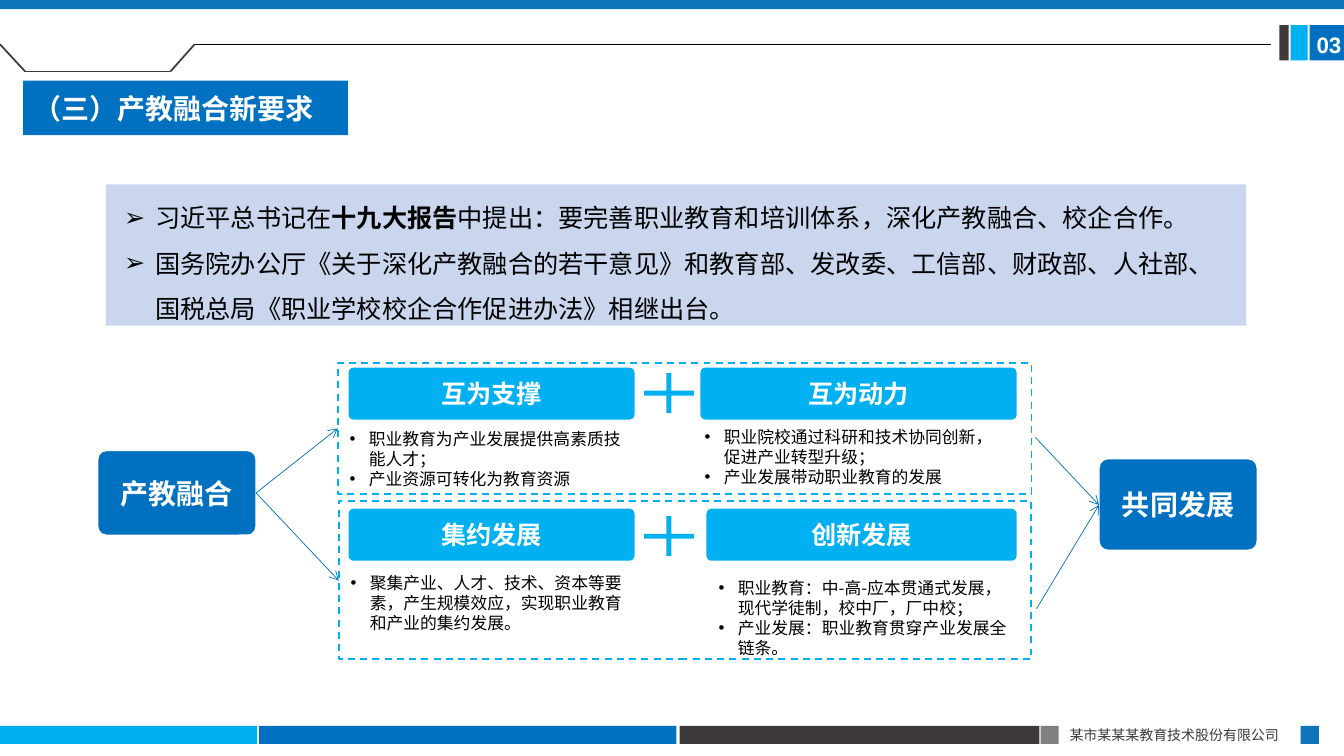
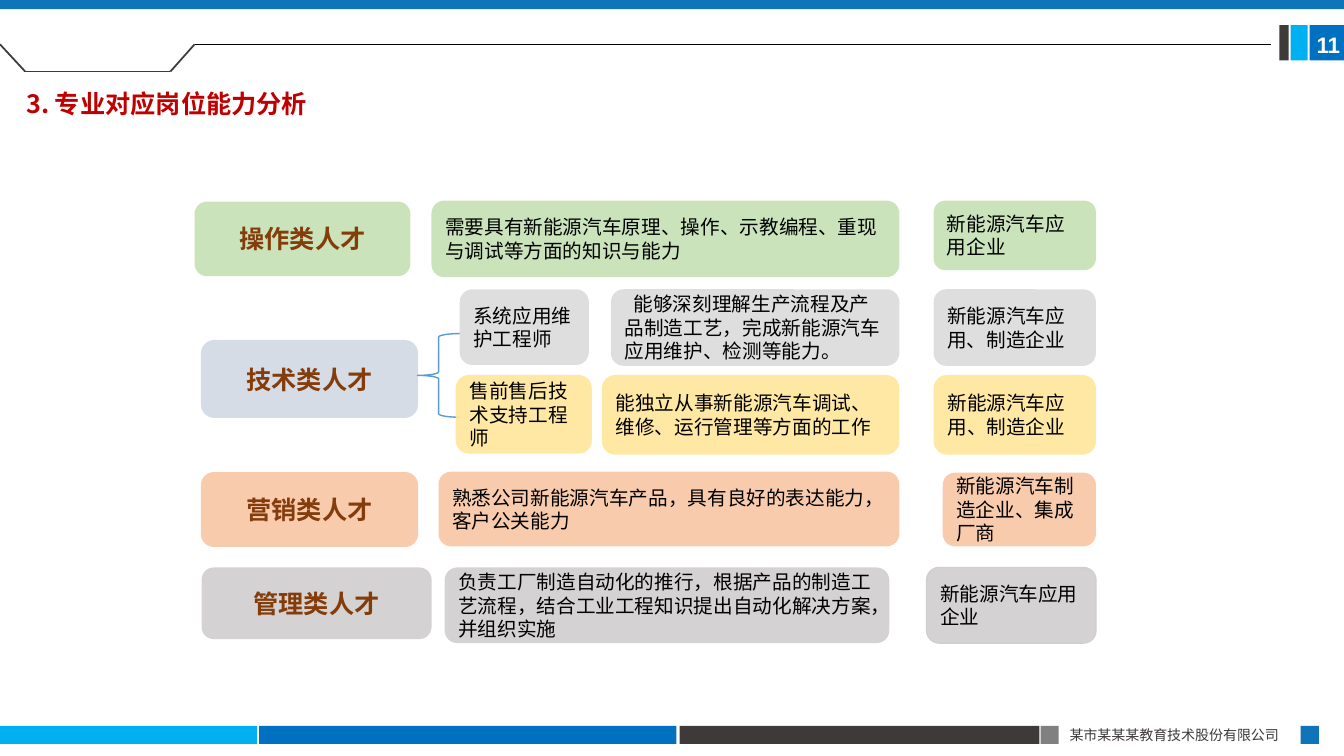
from lxml.etree import SubElement
from pptx import Presentation
from pptx.dml.color import RGBColor
from pptx.enum.dml import MSO_LINE
from pptx.enum.lang import MSO_LANGUAGE_ID as Language
from pptx.enum.shapes import MSO_CONNECTOR as Connector, MSO_SHAPE as Shape
from pptx.enum.text import MSO_ANCHOR as Anchor, MSO_AUTO_SIZE as AutoSize, PP_ALIGN as Align
from pptx.oxml.ns import qn
from pptx.util import Pt

PX = 9144  # EMU in one px, 100 px to the inch
WIDTH, HEIGHT = 1333, 750
TITLE_AND_BODY, TITLE_ONLY = 1, 5

# Shared style
FONT = "Noto Sans CJK SC"
BLUE, CYAN, BAND, DARK, GREY = "0070C0", "00B0F0", "1074BB", "3E3A39", "808080"
WHITE, BLACK, RED, BROWN = "FFFFFF", "000000", "C00000", "843C0B"
COMPANY = "某市某某某教育技术股份有限公司"


def rgb(color):
    return RGBColor.from_string(color)


def emu(*lengths):
    return [length * PX for length in lengths]


def write(shape, *texts, size=14, color=BLACK, bold=False, font=FONT, align=Align.LEFT,
          anchor=Anchor.TOP, spacing=1.0, bullet=None, hang=0, first=0, insets=(10, 5, 10, 5)):
    """Fill a shape with one paragraph per text; *starred* words are bold."""
    frame = shape.text_frame
    frame.word_wrap = True
    frame.auto_size = AutoSize.NONE
    frame.vertical_anchor = anchor
    (frame.margin_left, frame.margin_top,
     frame.margin_right, frame.margin_bottom) = emu(*insets)
    for index, text in enumerate(texts):
        paragraph = frame.add_paragraph() if index else frame.paragraphs[0]
        paragraph.alignment = align
        paragraph.line_spacing = spacing
        paragraph.space_before = Pt(0)
        properties = paragraph._p.get_or_add_pPr()
        properties.set("marL", str(hang * PX))
        properties.set("indent", str((first - hang) * PX))
        if bullet:
            SubElement(properties, qn("a:buFont"), typeface="Arial")
            SubElement(properties, qn("a:buChar"), char=bullet)
        for part, piece in enumerate(text.split("*")):
            run = paragraph.add_run()
            run.text = piece
            run.font.size = Pt(size)
            run.font.bold = bold or part % 2 == 1
            run.font.color.rgb = rgb(color)
            run.font.name = font
            run.font.language_id = Language.SIMPLIFIED_CHINESE
            SubElement(run._r.get_or_add_rPr(), qn("a:ea"), typeface=FONT)


class Deck:
    """The presentation, its style and the slide being drawn."""

    def __init__(self):
        self.presentation = Presentation()
        self.presentation.slide_width, self.presentation.slide_height = emu(WIDTH, HEIGHT)
        self.slide = None

    def add_slide(self, layout, number):
        layouts = self.presentation.slide_layouts
        self.slide = self.presentation.slides.add_slide(layouts[layout])
        self.frame(number)

    def paint(self, shape, fill=None, alpha=100, line=None, weight=1, dash=False):
        if fill:
            shape.fill.solid()
            shape.fill.fore_color.rgb = rgb(fill)
            if alpha < 100:
                tint = shape.fill._xPr.find(qn("a:solidFill"))[0]
                SubElement(tint, qn("a:alpha"), val=str(alpha * 1000))
        else:
            shape.fill.background()
        if line:
            shape.line.color.rgb = rgb(line)
            shape.line.width = Pt(weight)
            if dash:
                shape.line.dash_style = MSO_LINE.DASH
        else:
            shape.line.fill.background()

    def shape(self, kind, box, adjust=None, **paint):
        shape = self.slide.shapes.add_shape(kind, *emu(*box))
        shape.shadow.inherit = False
        if adjust is not None:
            shape.adjustments[0] = adjust
        self.paint(shape, **paint)
        return shape

    def bar(self, box, fill):
        self.shape(Shape.RECTANGLE, box, fill=fill)

    def line(self, start, end, color, weight, arrow=False):
        line = self.slide.shapes.add_connector(Connector.STRAIGHT, *emu(*start, *end))
        line.line.color.rgb = rgb(color)
        line.line.width = Pt(weight)
        properties = line._element.spPr
        if arrow:
            SubElement(properties.find(qn("a:ln")), qn("a:tailEnd"), type="arrow")
        SubElement(properties, qn("a:effectLst"))

    def text(self, box, *texts, **style):
        write(self.slide.shapes.add_textbox(*emu(*box)), *texts, **style)

    def placeholder(self, index, box, texts, fill=None, alpha=100, **style):
        holder = self.slide.placeholders[index]
        holder.left, holder.top, holder.width, holder.height = emu(*box)
        self.paint(holder, fill, alpha)
        write(holder, *texts, **style)

    def title(self, box, text, fill=None, **style):
        self.placeholder(0, box, [text], fill, bold=True, **style)

    def label(self, box, text, fill, size=18):
        """A blue heading box with white bold text."""
        shape = self.shape(Shape.ROUNDED_RECTANGLE, box, 0.1, fill=fill, line=WHITE)
        write(shape, text, size=size, color=WHITE, bold=True,
              align=Align.CENTER, anchor=Anchor.MIDDLE)

    def card(self, box, text, fill, alpha=90, line=None, **style):
        shape = self.shape(Shape.ROUNDED_RECTANGLE, box, fill=fill, alpha=alpha, line=line)
        write(shape, text, anchor=Anchor.MIDDLE, **style)

    def frame(self, number):
        # Top band, page number and header line
        self.bar((0, 0, WIDTH, 9), BAND)
        for left, width, fill in ((1299, 34, BLUE), (1280, 17, CYAN), (1269, 9, DARK)):
            self.bar((left, 25, width, 35), fill)
        self.text((1296, 26, 37, 37), number, size=16, color=WHITE, bold=True,
                  font="Arial", insets=(10, 5, 0, 5))
        corners = (0, 44), (25, 71), (169, 71), (193, 44)
        for start, end in zip(corners, corners[1:]):
            self.line(start, end, DARK, 1.25)
        self.line(corners[-1], (1261, 44), BLACK, 0.5)
        # Footer
        for left, width, fill in ((0, 255, CYAN), (257, 414, BLUE), (674, 357, DARK),
                                  (1032, 18, GREY), (1290, 18, BAND)):
            self.bar((left, 720, width, 18), fill)
        self.text((1051, 716, 240, 27), COMPANY, size=10, color=DARK)


def integration_slide(deck):
    deck.add_slide(TITLE_AND_BODY, "03")
    deck.title((23, 80, 322, 54), "（三）产教融合新要求", BLUE, size=20, color=WHITE,
               font="Calibri", anchor=Anchor.MIDDLE)
    deck.placeholder(
        1, (105, 183, 1131, 140),
        ["习近平总书记在*十九大报告*中提出：要完善职业教育和培训体系，深化产教融合、校企合作。",
         "国务院办公厅《关于深化产教融合的若干意见》和教育部、发改委、工信部、财政部、人社部、"
         "国税总局《职业学校校企合作促进办法》相继出台。"],
        "8FAADC", 48, size=18, font="Calibri", spacing=1.5, bullet="➢", hang=31,
        insets=(18, 3, 13, 0))

    # Start and goal
    deck.label((97, 447, 157, 84), "产教融合", BLUE, 20)
    deck.label((1090, 455, 157, 91), "共同发展", BLUE, 20)

    # Two dashed panels, each with a pair of headings and lists
    panels = (
        ((335, 360, 688, 130), 364, 363,
         (345, 285, "互为支撑", (337, 420, 293, 71),
          ["职业教育为产业发展提供高素质技能人才；", "产业资源可转化为教育资源"]),
         (694, 315, "互为动力", (689, 418, 320, 71),
          ["职业院校通过科研和技术协同创新，促进产业转型升级；", "产业发展带动职业教育的发展"])),
        ((336, 497, 687, 157), 504, 505,
         (345, 285, "集约发展", (338, 563, 293, 71),
          ["聚集产业、人才、技术、资本等要素，产生规模效应，实现职业教育和产业的集约发展。"]),
         (700, 309, "创新发展", (703, 568, 313, 91),
          ["职业教育：中-高-应本贯通式发展，现代学徒制，校中厂，厂中校；",
           "产业发展：职业教育贯穿产业发展全链条。"])),
    )
    for panel, heading_top, plus_top, *halves in panels:
        deck.shape(Shape.RECTANGLE, panel, fill=WHITE, line=CYAN, weight=1.25, dash=True)
        for left, width, heading, list_box, items in halves:
            deck.label((left, heading_top, width, 53), heading, CYAN)
            deck.text(list_box, *items, size=12, bullet="•", hang=19)
        deck.shape(Shape.MATH_PLUS, (630, plus_top, 67, 54), 0.09, fill=CYAN)

    # Arrows in and out
    for start, end in (((254, 489), (335, 425)), ((254, 489), (336, 576)),
                       ((1027, 434), (1090, 501)), ((1028, 604), (1090, 501))):
        deck.line(start, end, BLUE, 0.5, arrow=True)


def talent_slide(deck):
    deck.add_slide(TITLE_ONLY, "11")
    deck.title((16, 68, 329, 56), "3. 专业对应岗位能力分析", size=18, color=RED, spacing=1.5)

    green, silver, yellow = "C5E0B4", "DBDBDB", "FFE699"
    slate, orange, ash = "D6DCE5", "F8CBAD", "D0CECE"
    solid = {"alpha": 100}

    # Kinds of talent
    for box, text, fill, look in (
            ((193, 200, 214, 74), "操作类人才", green, {}),
            ((200, 338, 214, 76), "技术类人才", slate, solid),
            ((200, 469, 214, 73), "营销类人才", orange, solid),
            ((200, 563, 228, 71), "管理类人才", ash, {})):
        deck.card(box, text, fill, line=fill if look else None, size=18, color=BROWN,
                  bold=True, align=Align.CENTER, **look)
    deck.shape(Shape.LEFT_BRACE, (414, 331, 42, 83), line="5B9BD5")

    # Posts, abilities and employers
    for box, text, fill, look in (
            ((428, 199, 464, 76), "需要具有新能源汽车原理、操作、示教编程、重现与调试等方面的知识与能力",
             green, {}),
            ((926, 199, 161, 69), "新能源汽车应用企业", green, {}),
            ((456, 287, 128, 75), "系统应用维护工程师", silver, {}),
            ((606, 287, 286, 76), "能够深刻理解生产流程及产品制造工艺，完成新能源汽车应用维护、检测等能力。",
             silver, {"first": 9}),
            ((926, 287, 161, 76), "新能源汽车应用、制造企业", silver, {}),
            ((452, 372, 135, 78), "售前售后技术支持工程师", yellow, {}),
            ((597, 372, 295, 79), "能独立从事新能源汽车调试、维修、运行管理等方面的工作", yellow, {}),
            ((926, 372, 161, 79), "新能源汽车应用、制造企业", yellow, {}),
            ((435, 468, 457, 74), "熟悉公司新能源汽车产品，具有良好的表达能力，客户公关能力", orange, solid),
            ((935, 469, 152, 73), "新能源汽车制造企业、集成厂商", orange, solid),
            ((441, 563, 441, 75),
             "负责工厂制造自动化的推行，根据产品的制造工艺流程，结合工业工程知识提出自动化解决方案，并组织实施",
             ash, {}),
            ((919, 563, 168, 75), "新能源汽车应用企业", ash, {"line": ash})):
        deck.card(box, text, fill, **look)


def main():
    deck = Deck()
    integration_slide(deck)
    talent_slide(deck)
    deck.presentation.save("out.pptx")


if __name__ == "__main__":
    main()
